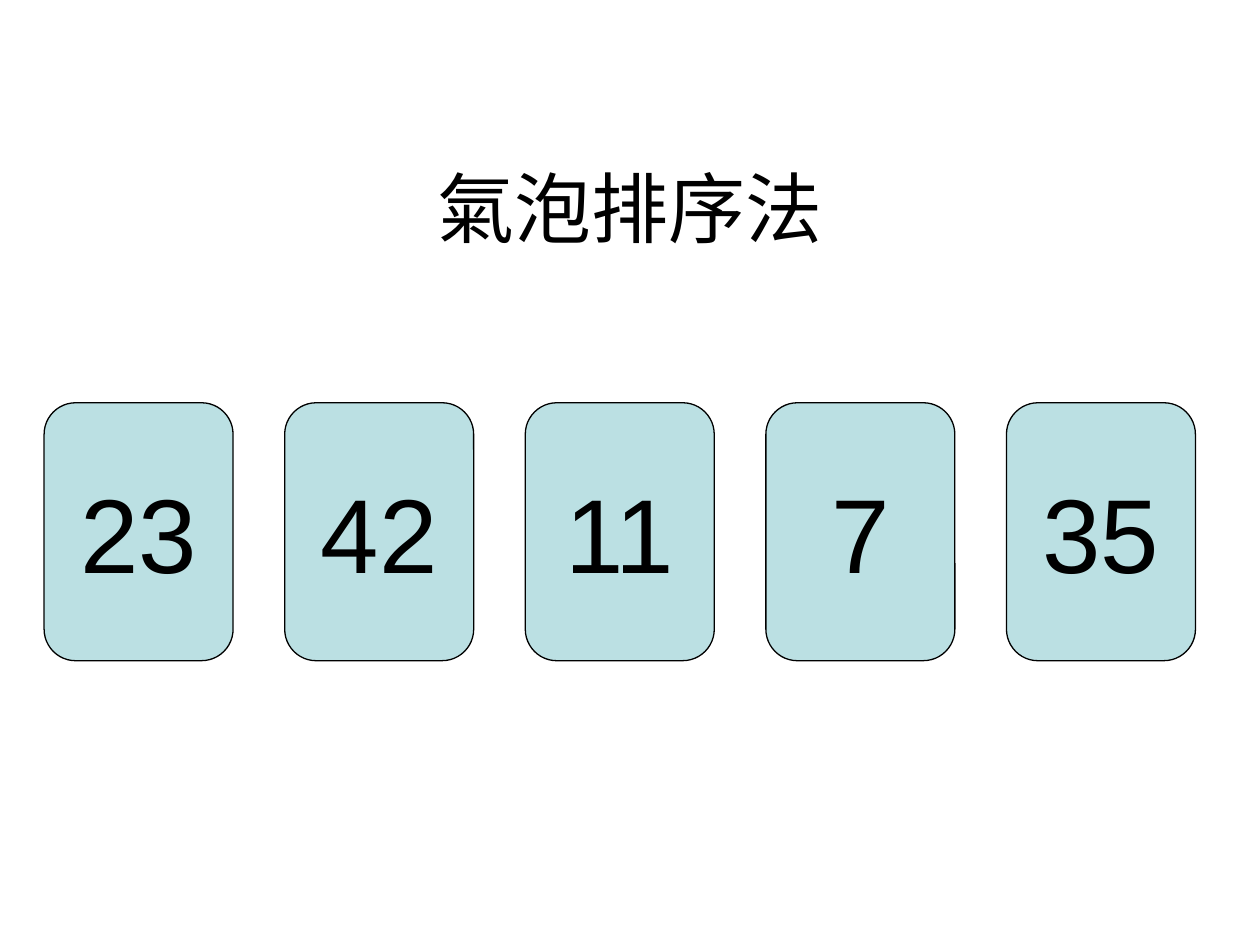
import pptx
import pptx.util
import pptx.dml.color
import pptx.enum.shapes
import pptx.enum.text

Cm, Pt = pptx.util.Cm, pptx.util.Pt
RGBColor = pptx.dml.color.RGBColor

# Content
TITLE = "氣泡排序法"
NUMBERS = ["23", "42", "11", "7", "35"]

# Style
FONT = "Arial"
BLACK = RGBColor(0x00, 0x00, 0x00)
PALE_TEAL = RGBColor(0xBB, 0xE0, 0xE3)

# Card row, in centimetres
CARD_LEFT, CARD_TOP = 0.89, 8.12
CARD_WIDTH, CARD_HEIGHT = 3.81, 5.2
CARD_STEP = 4.85


def write_centred(shape, text, size, wrap):
    frame = shape.text_frame
    frame.word_wrap = wrap
    frame.vertical_anchor = pptx.enum.text.MSO_ANCHOR.MIDDLE
    para = frame.paragraphs[0]
    para.alignment = pptx.enum.text.PP_ALIGN.CENTER
    span = para.add_run()
    span.text = text
    span.font.name = FONT
    span.font.size = Pt(size)
    span.font.color.rgb = BLACK


def add_card(page, left, number):
    card = page.shapes.add_shape(
        pptx.enum.shapes.MSO_SHAPE.ROUNDED_RECTANGLE,
        Cm(left), Cm(CARD_TOP), Cm(CARD_WIDTH), Cm(CARD_HEIGHT))
    card.shadow.inherit = False
    card.fill.solid()
    card.fill.fore_color.rgb = PALE_TEAL
    card.line.color.rgb = BLACK
    card.line.width = Pt(0.75)
    write_centred(card, number, 60, wrap=False)


def main():
    deck = pptx.Presentation()
    deck.slide_width, deck.slide_height = Cm(25.4), Cm(19.05)
    page = deck.slides.add_slide(deck.slide_layouts[6])

    # Title
    title = page.shapes.add_textbox(Cm(1.9), Cm(2.13), Cm(21.6), Cm(4.09))
    write_centred(title, TITLE, 44, wrap=True)

    # Row of number cards
    for index, number in enumerate(NUMBERS):
        add_card(page, CARD_LEFT + index * CARD_STEP, number)

    deck.save("out.pptx")


if __name__ == "__main__":
    main()
